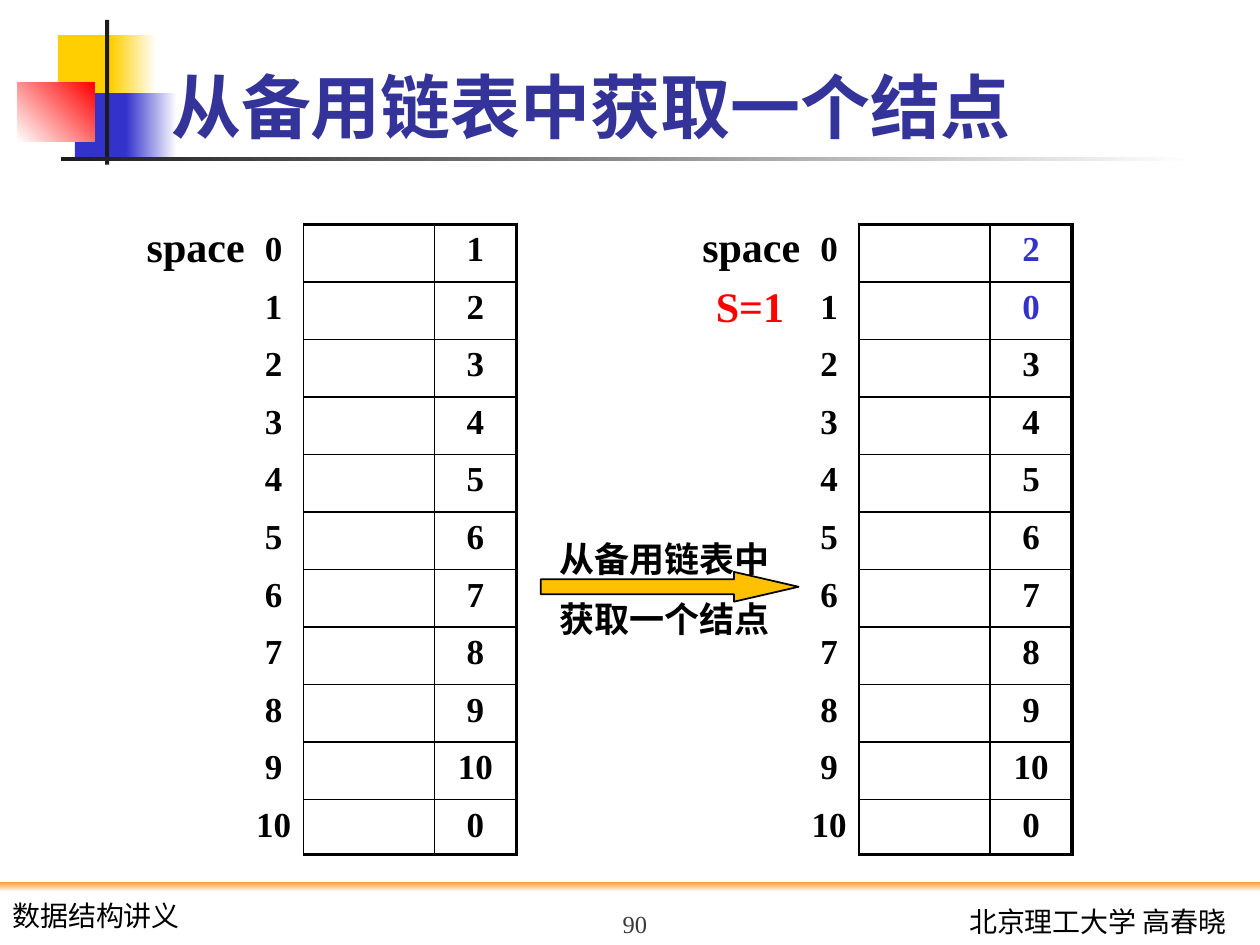
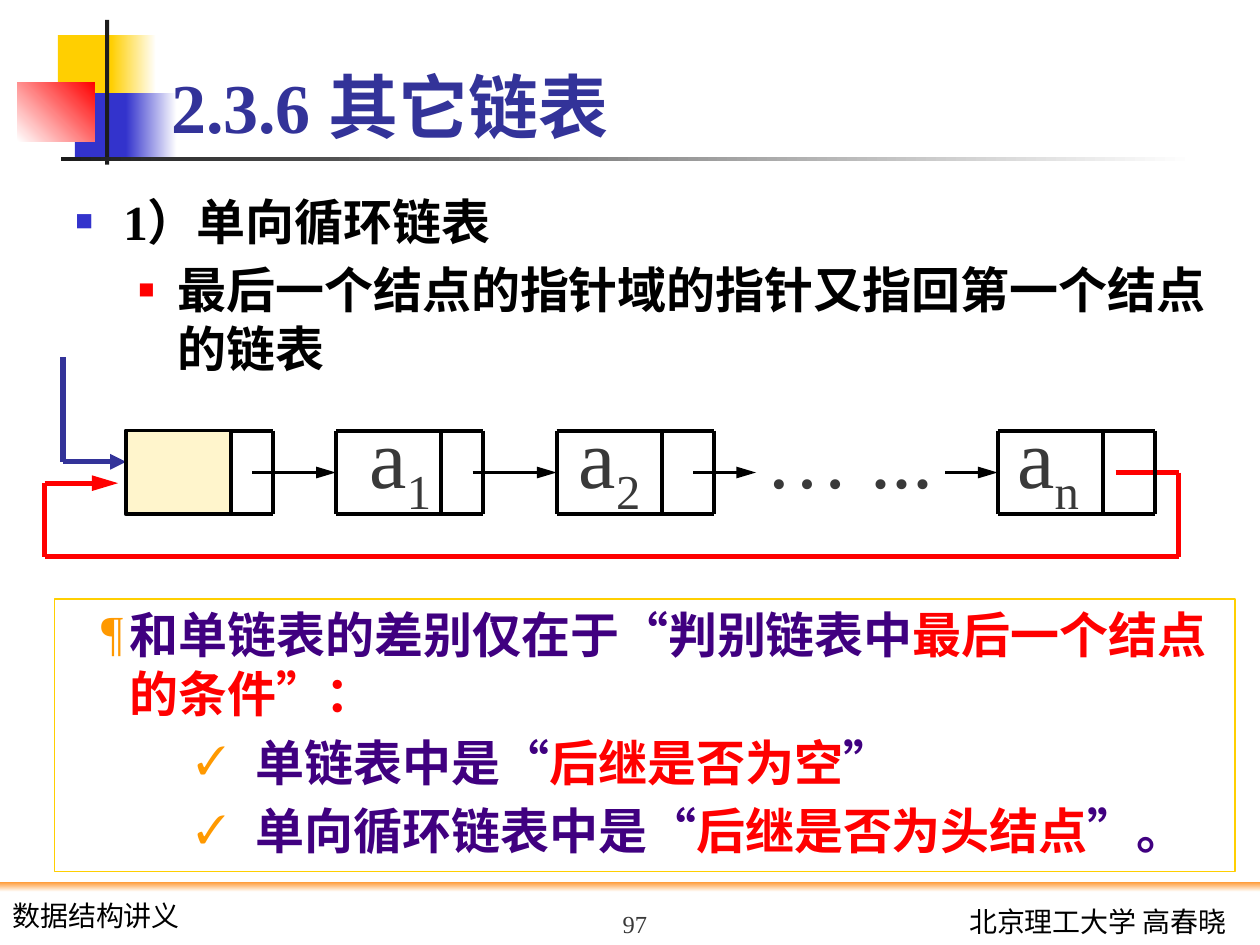
from dataclasses import dataclass
from itertools import pairwise
from typing import NamedTuple, Optional

from lxml.etree import SubElement
from pptx import Presentation
from pptx.dml.color import RGBColor
from pptx.enum.shapes import MSO_CONNECTOR, MSO_SHAPE
from pptx.enum.text import MSO_ANCHOR as Anchor, PP_ALIGN as Align
from pptx.oxml.ns import qn
from pptx.util import Cm, Pt

COLORS = {
    "black": "000000", "white": "FFFFFF", "yellow": "FFCF01", "blue": "3333CC",
    "red": "FF0000", "ink": "1C1C1C", "orange": "FF9933", "title": "333399",
    "gray": "393939", "gold": "FFC000", "cream": "FFF5CC", "purple": "400080",
    "mark": "FF9900",
}
SERIF = "Times New Roman"
FOOTER_FONT = "Lato"
ROW_HEIGHT, LAST_ROW_HEIGHT = 1.16, 1.1
COLUMN_WIDTHS = (1.21, 2.64, 1.65)
TABLE_TOP = 4.52
NODE_TOP, NODE_HEIGHT, DATA_WIDTH = 8.68, 1.69, 2.12
NODE_BOTTOM = NODE_TOP + NODE_HEIGHT
NODE_MIDDLE = NODE_TOP + NODE_HEIGHT / 2
LABEL_TOP = 8.04


class Box(NamedTuple):
    left: float
    top: float
    width: float
    height: float

    def lengths(self) -> tuple:
        return tuple(Cm(value) for value in self)


class Run(NamedTuple):
    text: str
    color: str = "black"
    size: float = 28
    bold: bool = True
    font: str = SERIF
    subscript: bool = False


class Bullet(NamedTuple):
    char: str
    color: str
    margin: float
    indent: float
    percent: int = 100


@dataclass
class Para:
    runs: list[Run]
    align: Align = Align.LEFT
    before: float = 0
    level: int = 0
    bullet: Optional[Bullet] = None


class Band(NamedTuple):
    box: Box
    color: str
    end_color: Optional[str] = None
    angle: float = 0


class Node(NamedTuple):
    left: float
    pointer_width: float


class Label(NamedTuple):
    left: float
    text: str
    subscript: str = ""


BANDS = [
    Band(Box(1.17, 0.71, 1.22, 1.32), "yellow"),
    Band(Box(2.24, 0.71, 0.91, 1.32), "yellow", "white"),
    Band(Box(1.51, 1.88, 1.16, 1.32), "blue"),
    Band(Box(2.54, 1.88, 1.02, 1.32), "blue", "white"),
    Band(Box(0.35, 1.66, 1.56, 1.19), "white", "red", 45),
    Band(Box(2.12, 0.4, 0.08, 2.92), "ink"),
    Band(Box(1.23, 3.16, 22.86, 0.08), "ink", "white"),
    Band(Box(0, 17.78, 25.4, 0.2), "orange", "white", 270),
]
HEAD_NODE = Node(2.54, 0.85)
NODES = [HEAD_NODE, Node(6.77, 0.85), Node(11.22, 1.06), Node(20.11, 1.06)]
LABELS = [Label(7.45, "a", "1"), Label(11.67, "a", "2"),
          Label(15.44, "… ..."), Label(20.51, "a", "n")]
SQUARE = Bullet("■", "blue", 0.97, -0.97, 60)
SUB_SQUARE = Bullet("■", "red", 2.06, -0.79, 55)
PILCROW = Bullet("¶", "mark", 1.27, -0.58)
CHECK = Bullet("✓", "mark", 3.81, -1.2, 80)


def rgb(name: str) -> RGBColor:
    return RGBColor.from_string(COLORS[name])


def add_bullet(paragraph, bullet: Bullet) -> None:
    props = paragraph._p.get_or_add_pPr()
    props.set("marL", str(Cm(bullet.margin)))
    props.set("indent", str(Cm(bullet.indent)))
    SubElement(SubElement(props, qn("a:buClr")), qn("a:srgbClr"), val=COLORS[bullet.color])
    SubElement(props, qn("a:buSzPct"), val=str(bullet.percent * 1000))
    SubElement(props, qn("a:buFont"), typeface=SERIF)
    SubElement(props, qn("a:buChar"), char=bullet.char)


def write_paras(frame, paras: list[Para]) -> None:
    for index, para in enumerate(paras):
        paragraph = frame.add_paragraph() if index else frame.paragraphs[0]
        paragraph.alignment = para.align
        paragraph.level = para.level
        if para.before:
            paragraph.space_before = Pt(para.before)
        if para.bullet:
            add_bullet(paragraph, para.bullet)
        for part in para.runs:
            run = paragraph.add_run()
            run.text = part.text
            run.font.size, run.font.bold, run.font.name = Pt(part.size), part.bold, part.font
            run.font.color.rgb = rgb(part.color)
            if part.subscript:
                run._r.get_or_add_rPr().set("baseline", "-25000")


def add_text(slide, box: Box, paras: list[Para], anchor=Anchor.TOP, wrap: bool = True):
    frame = slide.shapes.add_textbox(*box.lengths()).text_frame
    frame.word_wrap = wrap
    frame.vertical_anchor = anchor
    write_paras(frame, paras)
    return frame


def add_block(slide, box: Box, fill: Optional[str] = None, line: Optional[str] = None,
              width: float = 1, preset=MSO_SHAPE.RECTANGLE):
    block = slide.shapes.add_shape(preset, *box.lengths())
    block.shadow.inherit = False
    if fill:
        block.fill.solid()
        block.fill.fore_color.rgb = rgb(fill)
    else:
        block.fill.background()
    if line:
        block.line.color.rgb = rgb(line)
        block.line.width = Pt(width)
    else:
        block.line.fill.background()
    return block


def add_band(slide, band: Band) -> None:
    block = add_block(slide, band.box, band.color)
    if band.end_color:
        block.fill.gradient()
        block.fill.gradient_angle = band.angle
        for stop, color in zip(block.fill.gradient_stops, (band.color, band.end_color)):
            stop.color.rgb = rgb(color)


def add_link(slide, start: tuple, end: tuple, color: str = "black",
             width: float = 2.25, arrow: Optional[str] = None) -> None:
    link = slide.shapes.add_connector(
        MSO_CONNECTOR.STRAIGHT, *(Cm(value) for value in (*start, *end)))
    link.line.color.rgb = rgb(color)
    link.line.width = Pt(width)
    props = link._element.spPr
    if arrow:
        SubElement(props.find(qn("a:ln")), qn("a:tailEnd"), type="triangle", len=arrow)
    SubElement(props, qn("a:effectLst"))


def add_route(slide, points: list[tuple], color: str, arrow: str) -> None:
    for start, end in pairwise(points):
        add_link(slide, start, end, color, 3, arrow if end == points[-1] else None)


def start_slide(deck, title: str, number: str):
    slide = deck.slides.add_slide(deck.slide_layouts[6])
    for band in BANDS:
        add_band(slide, band)
    add_text(slide, Box(18.63, 18.11, 6.35, 0.94),
             [Para([Run("北京理工大学 高春晓", "black", 16, False, FOOTER_FONT)], Align.RIGHT)])
    add_text(slide, Box(0, 17.98, 4.45, 0.94),
             [Para([Run("数据结构讲义", "black", 16, False, FOOTER_FONT)])])
    add_text(slide, Box(3.2, 0.33, 21.64, 2.77),
             [Para([Run(title, "title", 40)])], Anchor.BOTTOM)
    add_text(slide, Box(10.16, 17.78, 5.28, 1.27),
             [Para([Run(number, "gray", 14, False)], Align.CENTER)], Anchor.BOTTOM)
    return slide


def set_borders(cell, left: float, right: float, top: float, bottom: float) -> None:
    props = cell._tc.get_or_add_tcPr()
    for side, width in zip("LRTB", (left, right, top, bottom)):
        edge = SubElement(props, qn(f"a:ln{side}"), w=str(Pt(width)))
        if width:
            SubElement(SubElement(edge, qn("a:solidFill")), qn("a:srgbClr"), val=COLORS["black"])
        else:
            SubElement(edge, qn("a:noFill"))


def add_space(slide, left: float, cursors: list[int], changed: int = 0) -> None:
    last = len(cursors) - 1
    box = Box(left, TABLE_TOP, sum(COLUMN_WIDTHS), ROW_HEIGHT * last + LAST_ROW_HEIGHT)
    table = slide.shapes.add_table(len(cursors), len(COLUMN_WIDTHS), *box.lengths()).table
    table.first_row = table.horz_banding = False
    for column, width in zip(table.columns, COLUMN_WIDTHS):
        column.width = Cm(width)
    for index, cursor in enumerate(cursors):
        table.rows[index].height = Cm(LAST_ROW_HEIGHT if index == last else ROW_HEIGHT)
        top = 2.25 if index == 0 else 1
        bottom = 2.25 if index == last else 1
        number, data, following = (table.cell(index, column) for column in range(3))
        set_borders(number, 0, 1, 0, 0)
        set_borders(data, 1, 1, top, bottom)
        set_borders(following, 1, 2.25, top, bottom)
        for cell in (number, data, following):
            cell.fill.background()
            cell.margin_left = cell.margin_right = 0
        cursor_color = "blue" if index < changed else "black"
        for cell, value, color in ((number, index, "black"), (following, cursor, cursor_color)):
            write_paras(cell.text_frame, [Para([Run(str(value), color, 20)], Align.CENTER)])
    add_text(slide, Box(left - 2.21, 4.32, 2.49, 1.27),
             [Para([Run("space", size=24)], Align.CENTER)], wrap=False)


def build_allocation(deck) -> None:
    slide = start_slide(deck, "从备用链表中获取一个结点", "90")
    add_text(slide, Box(10.92, 10.72, 4.95, 2.39),
             [Para([Run("从备用链表中", size=20)], Align.CENTER),
              Para([Run("获取一个结点", size=20)], Align.CENTER, 10)])
    free_list = [*range(1, 11), 0]
    add_space(slide, 4.91, free_list)
    add_space(slide, 16.11, [2, 0, *free_list[2:]], changed=2)
    add_text(slide, Box(13.7, 5.54, 2.84, 1.27),
             [Para([Run("S=1", "red", 24)], Align.CENTER)])
    arrow = add_block(slide, Box(10.9, 11.53, 5.2, 0.6), "gold", "black",
                      preset=MSO_SHAPE.RIGHT_ARROW)
    arrow.adjustments[0], arrow.adjustments[1] = 0.5, 2.17


def add_node(slide, node: Node) -> None:
    divider = node.left + DATA_WIDTH
    right = divider + node.pointer_width
    for y in (NODE_TOP, NODE_BOTTOM):
        add_link(slide, (node.left, y), (right, y))
    for x in (node.left, divider, right):
        add_link(slide, (x, NODE_TOP), (x, NODE_BOTTOM))


def build_circular_list(deck) -> None:
    slide = start_slide(deck, "2.3.6 其它链表", "97")
    add_text(slide, Box(1.27, 3.73, 24.13, 13.77), [
        Para([Run("1）单向循环链表")], bullet=SQUARE),
        Para([Run("最后一个结点的指针域的指针又指回第一个结点的链表")],
             before=5.5, level=1, bullet=SUB_SQUARE),
    ])
    add_route(slide, [(22.49, NODE_MIDDLE), (23.76, NODE_MIDDLE), (23.76, 11.22),
                      (0.9, 11.22), (0.9, 9.74), (2.38, 9.74)], "red", "lg")
    for label in LABELS:
        runs = [Run(label.text, "gray", 48, False)]
        if label.subscript:
            runs.append(Run(label.subscript, "gray", 48, False, subscript=True))
        frame = add_text(slide, Box(label.left, LABEL_TOP, 4, 2.3), [Para(runs)], wrap=False)
        frame.margin_left = 0
    for node in NODES:
        add_node(slide, node)
    for start, end in ((5.08, 6.77), (9.53, 11.22), (13.97, 15.24), (19.05, 20.11)):
        add_link(slide, (start, NODE_MIDDLE), (end, NODE_MIDDLE), arrow="lg")
    add_route(slide, [(1.27, 7.2), (1.27, 9.31), (2.54, 9.31)], "title", "med")
    add_block(slide, Box(HEAD_NODE.left, NODE_TOP, DATA_WIDTH, NODE_HEIGHT),
              "cream", "black", 2.25)

    difference = add_block(slide, Box(1.1, 12.07, 23.8, 5.5), line="yellow").text_frame
    difference.word_wrap = True
    difference.vertical_anchor = Anchor.TOP
    write_paras(difference, [
        Para([Run("和单链表的差别仅在于“判别链表中", "purple"),
              Run("最后一个结点的条件”：", "red")], level=1, bullet=PILCROW),
        Para([Run("单链表中是“", "purple"), Run("后继是否为空", "red"), Run("”", "purple")],
             before=5.5, level=2, bullet=CHECK),
        Para([Run("单向循环链表中是“", "purple"), Run("后继是否为头结点", "red"),
              Run("”。", "purple")], before=5.5, level=2, bullet=CHECK),
    ])


def main() -> None:
    deck = Presentation()
    deck.slide_width, deck.slide_height = Cm(25.4), Cm(19.05)
    build_allocation(deck)
    build_circular_list(deck)
    deck.save("out.pptx")


if __name__ == "__main__":
    main()
